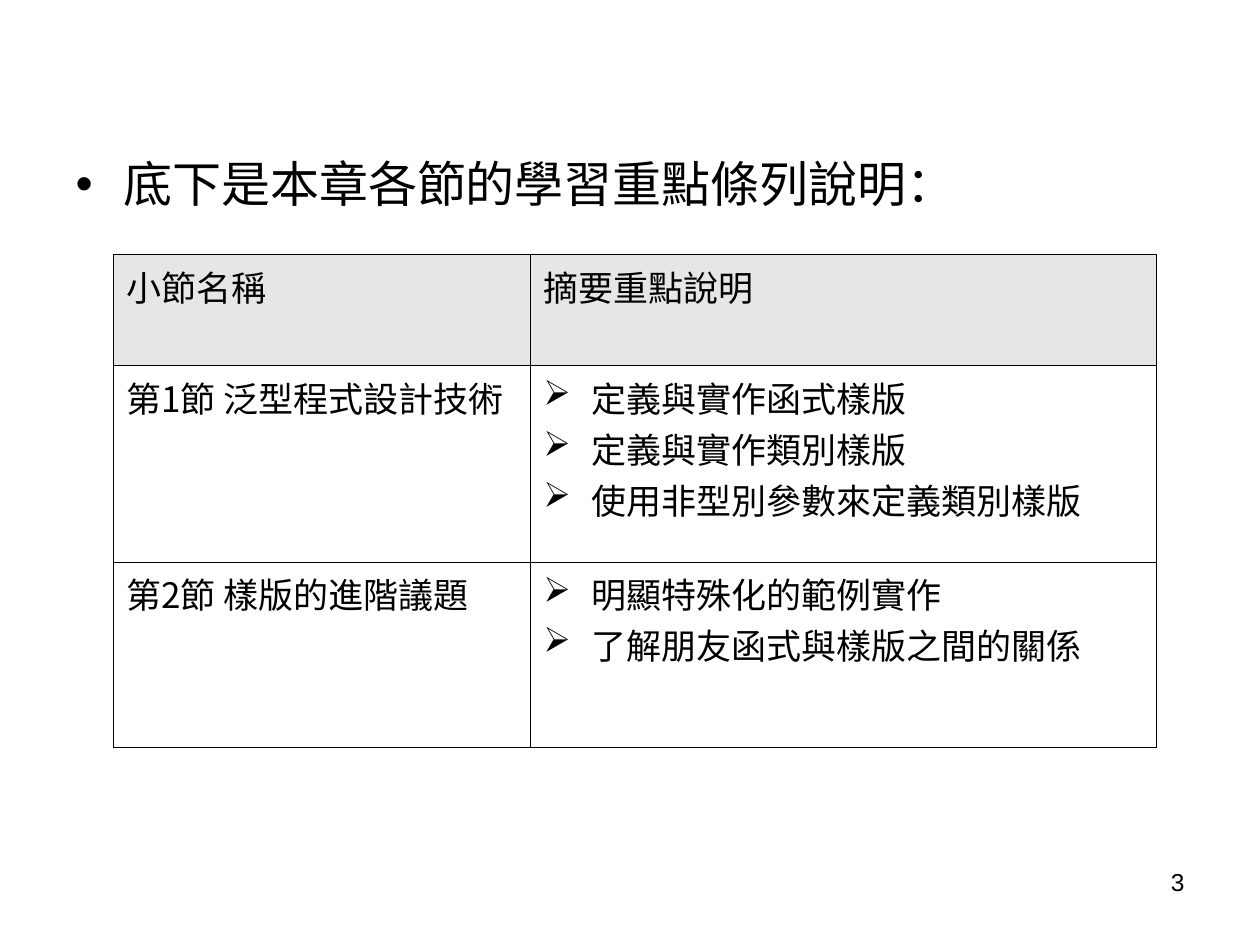
import lxml.etree
import pptx
import pptx.dml.color
import pptx.enum.text
import pptx.oxml
import pptx.oxml.ns
import pptx.util

Inches = pptx.util.Inches
BLACK, HEADER_GREY = "000000", "E6E6E6"
CJK_FONT = "Noto Sans CJK SC"
BODY_FORMAT = {"name": "Arial", "size": pptx.util.Pt(28), "bold": False}
TABLE_FORMAT = {"name": CJK_FONT, "size": pptx.util.Pt(20), "bold": False}
NUMBER_FORMAT = {"name": "Arial", "size": pptx.util.Pt(14), "bold": False}
HEADERS = ["小節名稱", "摘要重點說明"]
SECTIONS = [
    ("第1節 泛型程式設計技術",
     ["定義與實作函式樣版", "定義與實作類別樣版", "使用非型別參數來定義類別樣版"]),
    ("第2節 樣版的進階議題",
     ["明顯特殊化的範例實作", "了解朋友函式與樣版之間的關係"]),
]


def color(value):
    """Turn a hex string into a colour."""
    return pptx.dml.color.RGBColor.from_string(value)


def add_element(parent, tag, **attributes):
    """Append a drawing element with the given attributes."""
    element = lxml.etree.SubElement(parent, pptx.oxml.ns.qn(tag))
    for name, value in attributes.items():
        element.set(name, str(value))
    return element


def set_indent(paragraph, bullet=None):
    """Give a paragraph a hanging indent and an optional bullet."""
    properties = paragraph._p.get_or_add_pPr()
    properties.set("marL", str(Inches(0.38)))
    properties.set("indent", str(-Inches(0.38)))
    if bullet:
        bullet_color = add_element(properties, "a:buClr")
        add_element(bullet_color, "a:srgbClr", val=BLACK)
        add_element(properties, "a:buChar", char=bullet)
    else:
        add_element(properties, "a:buNone")


def write_text(paragraph, text, text_format):
    """Write one formatted run into a paragraph."""
    paragraph.space_before = pptx.util.Pt(0)
    run = paragraph.add_run()
    run.text = text
    for name, value in text_format.items():
        setattr(run.font, name, value)
    run.font.color.rgb = color(BLACK)
    add_element(run._r.get_or_add_rPr(), "a:ea", typeface=CJK_FONT)


def fill_cell(cell, texts, bullet=None, fill=None):
    """Write paragraphs into a bordered table cell."""
    properties = cell._tc.get_or_add_tcPr()
    for side in ("L", "R", "T", "B"):
        line = add_element(properties, f"a:ln{side}", w=pptx.util.Pt(0.45))
        line_fill = add_element(line, "a:solidFill")
        add_element(line_fill, "a:srgbClr", val=BLACK)
    if fill:
        cell.fill.solid()
        cell.fill.fore_color.rgb = color(fill)
    else:
        cell.fill.background()
    frame = cell.text_frame
    for index, text in enumerate(texts):
        paragraph = frame.add_paragraph() if index else frame.paragraphs[0]
        set_indent(paragraph, bullet)
        write_text(paragraph, text, TABLE_FORMAT)


def add_introduction(slide, left, top, width, height):
    """Place the body placeholder with its single bullet."""
    body = slide.placeholders[1]
    body.left, body.top, body.width, body.height = left, top, width, height
    body.text_frame.auto_size = pptx.enum.text.MSO_AUTO_SIZE.NONE
    paragraph = body.text_frame.paragraphs[0]
    set_indent(paragraph, "•")
    write_text(paragraph, "底下是本章各節的學習重點條列說明：", BODY_FORMAT)


def add_section_table(slide, left, top, width, height):
    """Add the table of sections and their key points."""
    shape = slide.shapes.add_table(len(SECTIONS) + 1, len(HEADERS), left, top, width, height)
    table = shape.table
    table.first_row = table.horz_banding = False
    for column, share in zip(table.columns, (0.4, 0.6)):
        column.width = int(width * share)
    for row, row_height in zip(table.rows, (0.88, 1.56, 1.47)):
        row.height = Inches(row_height)
    for column, header in enumerate(HEADERS):
        fill_cell(table.cell(0, column), [header], fill=HEADER_GREY)
    for row, (section, points) in enumerate(SECTIONS, 1):
        fill_cell(table.cell(row, 0), [section])
        fill_cell(table.cell(row, 1), points, bullet="➢")


def add_page_number(slide, left, top, width, height):
    """Add the right-aligned page number."""
    frame = slide.shapes.add_textbox(left, top, width, height).text_frame
    frame.word_wrap = True
    paragraph = frame.paragraphs[0]
    paragraph.alignment = pptx.enum.text.PP_ALIGN.RIGHT
    write_text(paragraph, "3", NUMBER_FORMAT)


def main():
    """Build and save the presentation."""
    presentation = pptx.Presentation()
    presentation.slide_width, presentation.slide_height = Inches(10), Inches(7.5)
    slide = presentation.slides.add_slide(presentation.slide_layouts[1])
    title = slide.shapes.title._element
    title.getparent().remove(title)
    add_introduction(slide, Inches(0.5), Inches(1.17), Inches(8.99), Inches(5.5))
    add_section_table(slide, Inches(0.9), Inches(2.02), Inches(8.28), Inches(3.91))
    add_page_number(slide, Inches(7.17), Inches(6.83), Inches(2.33), Inches(0.52))
    presentation.save("out.pptx")


if __name__ == "__main__":
    main()
